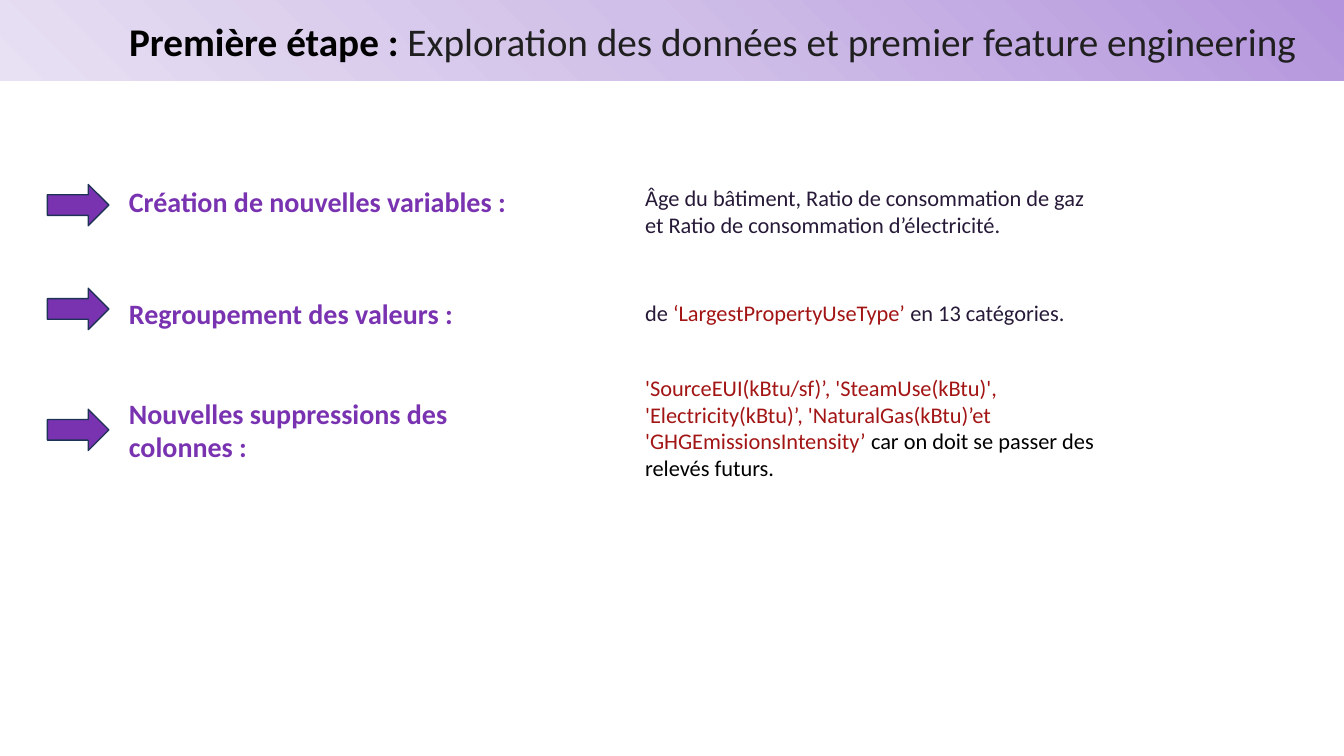
from copy import deepcopy

from pptx import Presentation
from pptx.dml.color import RGBColor
from pptx.enum.shapes import MSO_SHAPE
from pptx.enum.text import MSO_ANCHOR, MSO_AUTO_SIZE, PP_ALIGN
from pptx.oxml.ns import qn
from pptx.util import Inches, Pt

COLOURS = {
    "band_dark": "B495DD", "band_middle": "D0BFE8", "band_light": "E8E0F3",
    "black": "000000", "heading": "1F1F1F", "accent": "7933B1",
    "outline": "1E3256", "body": "271A38", "column_name": "A31515",
}
TITLE_FORMAT = {"size": Pt(28), "name": "Calibri"}
LABEL_FORMAT = {"size": Pt(20), "name": "Calibri", "bold": True}
DETAIL_FORMAT = {"size": Pt(16), "name": "Calibri"}
ARROW_LEFT, LABEL_LEFT, DETAIL_LEFT = 0.47, 1.18, 6.3
ARROW_SIZE = 0.61, 0.41

TITLE = [("Première étape : ", "black", True),
         ("Exploration des données et premier feature engineering", "heading", False)]
STEPS = [
    {"arrow_top": 1.83,
     "label": "Création de nouvelles variables :", "label_box": (1.78, 4.91, 0.44),
     "detail": [("Âge du bâtiment, Ratio de consommation de gaz et Ratio de "
                 "consommation d’électricité.", "body", False)],
     "detail_box": (1.78, 4.68, 0.64)},
    {"arrow_top": 2.86,
     "label": "Regroupement des valeurs :", "label_box": (2.89, 4.19, 0.44),
     "detail": [("de ", "body", False),
                ("‘LargestPropertyUseType’ ", "column_name", False),
                ("en 13 catégories.", "body", False)],
     "detail_box": (2.92, 4.42, 0.37)},
    {"arrow_top": 4.06,
     "label": "Nouvelles suppressions des colonnes :", "label_box": (3.88, 3.56, 0.77),
     "detail": [("'SourceEUI(kBtu/sf)’, 'SteamUse(kBtu)', 'Electricity(kBtu)’, "
                 "'NaturalGas(kBtu)’et 'GHGEmissionsIntensity’ ", "column_name", False),
                ("car on doit se passer des relevés futurs.", "black", False)],
     "detail_box": (3.66, 4.91, 2.46)},
]


def colour(name):
    """Return the named palette colour."""
    return RGBColor.from_string(COLOURS[name])


def write_spans(shape, spans, font_format, wrap=True):
    """Fill a shape with one left-aligned paragraph of coloured spans."""
    frame = shape.text_frame
    frame_format = {"word_wrap": wrap, "auto_size": MSO_AUTO_SIZE.SHAPE_TO_FIT_TEXT,
                    "vertical_anchor": MSO_ANCHOR.TOP}
    for key, value in frame_format.items():
        setattr(frame, key, value)
    para = frame.paragraphs[0]
    para.alignment = PP_ALIGN.LEFT
    for text, colour_name, bold in spans:
        span = para.add_run()
        span.text = text
        for key, value in {"bold": bold, **font_format}.items():
            setattr(span.font, key, value)
        span.font.color.rgb = colour(colour_name)


def add_header(page, width, height):
    """Draw the gradient band and set the title over it."""
    band = page.shapes.add_shape(MSO_SHAPE.RECTANGLE, 0, 0, width, height)
    band.shadow.inherit = False
    band.line.fill.background()
    band.fill.gradient()
    band.fill.gradient_angle = 225
    stop_list = band._element.spPr.find(qn("a:gradFill")).find(qn("a:gsLst"))
    stop_list.insert(1, deepcopy(stop_list[0]))
    names = "band_dark", "band_middle", "band_light"
    for index, (stop, name) in enumerate(zip(band.fill.gradient_stops, names)):
        stop.position = index / 2
        stop.color.rgb = colour(name)

    title = page.shapes.title
    title._element.addprevious(band._element)
    place = {"left": LABEL_LEFT, "top": 0.12, "width": 11.91, "height": 0.57}
    for key, value in place.items():
        setattr(title, key, Inches(value))
    write_spans(title, TITLE, TITLE_FORMAT, wrap=False)


def add_text(page, left, box, spans, font_format):
    """Add a text box at a column, given its top, width and height."""
    top, width, height = box
    shape = page.shapes.add_textbox(*map(Inches, (left, top, width, height)))
    write_spans(shape, spans, font_format)


def add_step(page, step):
    """Draw one step: arrow, label and detail."""
    arrow = page.shapes.add_shape(
        MSO_SHAPE.RIGHT_ARROW, *map(Inches, (ARROW_LEFT, step["arrow_top"], *ARROW_SIZE)))
    arrow.shadow.inherit = False
    arrow.fill.solid()
    arrow.fill.fore_color.rgb = colour("accent")
    arrow.line.color.rgb = colour("outline")
    arrow.line.width = Pt(1)
    add_text(page, LABEL_LEFT, step["label_box"],
             [(step["label"], "accent", True)], LABEL_FORMAT)
    add_text(page, DETAIL_LEFT, step["detail_box"], step["detail"], DETAIL_FORMAT)


def main():
    """Build the slide and save it."""
    deck = Presentation()
    deck.slide_width, deck.slide_height = Inches(13.33), Inches(7.5)
    page = deck.slides.add_slide(deck.slide_layouts.get_by_name("Title Only"))
    add_header(page, deck.slide_width, Inches(0.8))
    for step in STEPS:
        add_step(page, step)
    deck.save("out.pptx")


if __name__ == "__main__":
    main()
